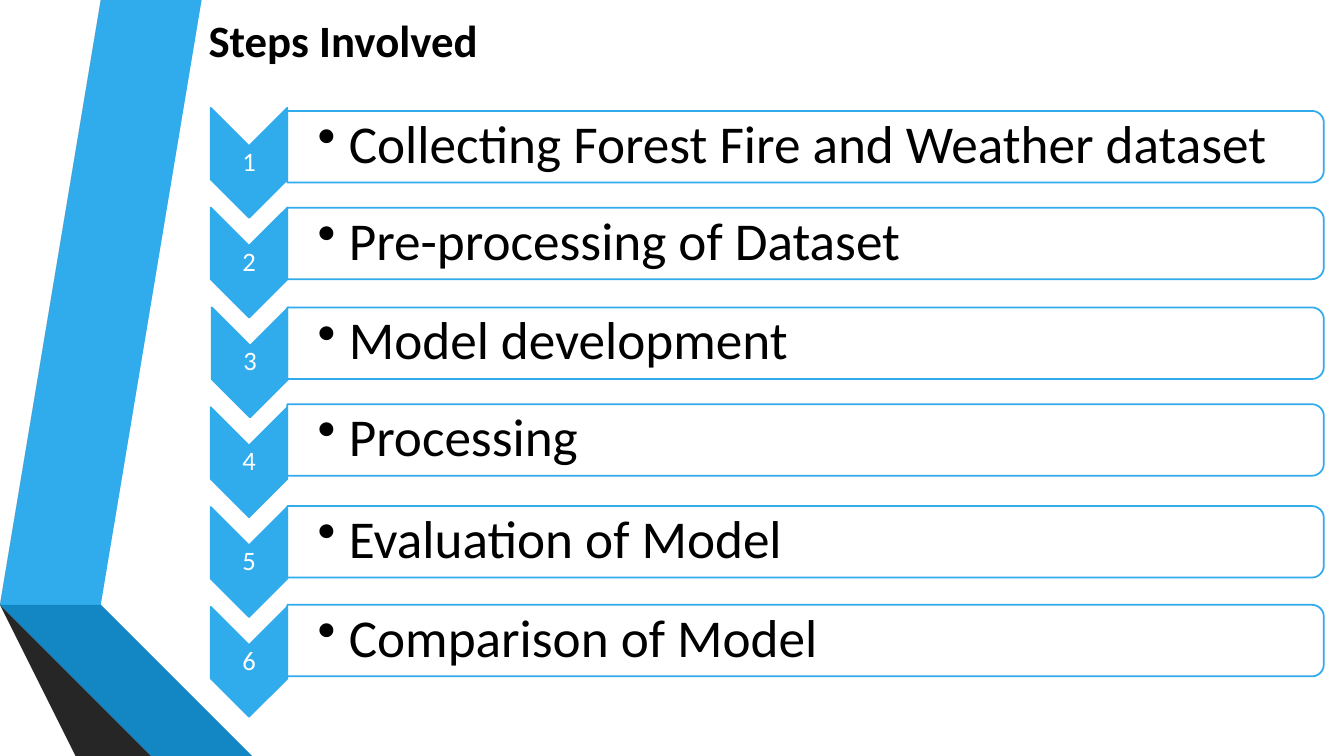
import pptx
import pptx.util
import pptx.oxml
import pptx.oxml.ns
from pptx.dml.color import RGBColor
from pptx.enum.shapes import MSO_SHAPE
from pptx.enum.text import MSO_ANCHOR, PP_ALIGN
from pptx.util import Inches

BLACK = RGBColor(0x00, 0x00, 0x00)
WHITE = RGBColor(0xFF, 0xFF, 0xFF)
BLUE = RGBColor(0x30, 0xAC, 0xEC)
MID_BLUE = RGBColor(0x12, 0x87, 0xC3)
DEEP_BLUE = RGBColor(0x0C, 0x5A, 0x82)
GRAY = RGBColor(0x59, 0x59, 0x59)
DARK_GRAY = RGBColor(0x40, 0x40, 0x40)
DEEP_GRAY = RGBColor(0x26, 0x26, 0x26)

prs = pptx.Presentation()
prs.slide_width, prs.slide_height = Inches(13.33), Inches(7.5)
s = prs.slides.add_slide(prs.slide_layouts[6])


def add_text(text, left, top, width, height, size, color, inset=None):
    """Add a one-paragraph text box and return its paragraph."""
    tf = s.shapes.add_textbox(Inches(left), Inches(top), Inches(width), Inches(height)).text_frame
    tf.word_wrap = True
    if inset is not None:
        tf.vertical_anchor = MSO_ANCHOR.MIDDLE
        tf.margin_left = tf.margin_right = Inches(inset)
        tf.margin_top = tf.margin_bottom = Inches(inset)
    p = tf.paragraphs[0]
    p.text = text
    p.font.name = "Calibri"
    p.font.size = pptx.util.Pt(size)
    p.font.color.rgb = color
    return p


def add_turned(kind, left, top, width, height, fill):
    """Add a blue-outlined shape turned by 90 degrees; the box is as seen on the slide."""
    x, y = left + (width - height) / 2, top + (height - width) / 2
    sp = s.shapes.add_shape(kind, Inches(x), Inches(y), Inches(height), Inches(width))
    sp.rotation = 90
    sp.shadow.inherit = False
    sp.fill.solid()
    sp.fill.fore_color.rgb = fill
    sp.line.color.rgb = BLUE
    sp.line.width = pptx.util.Pt(1.25)
    return sp


# Folded ribbons on the left
ribbons = [
    (BLUE, [(0.5, 5.78), (0.77, 5.83), (1.73, 0), (1.45, 0)]),
    (GRAY, [(1.39, 0), (1.11, 0), (0.16, 5.73), (0.44, 5.77)]),
    (DEEP_GRAY, [(0.16, 5.73), (1.45, 7.5), (1.51, 7.5)]),
    (DEEP_BLUE, [(0.5, 5.79), (2.08, 7.5), (2.14, 7.5)]),
    (MID_BLUE, [(0.5, 5.79), (2.14, 7.5), (2.83, 7.5), (0.77, 5.83), (0.5, 5.78)]),
    (DARK_GRAY, [(2.02, 7.5), (0.48, 5.83), (0.43, 5.77), (0.16, 5.73), (1.51, 7.5)]),
]
for color, points in ribbons:
    builder = s.shapes.build_freeform(*points[0], scale=Inches(1))
    builder.add_line_segments(points[1:], close=True)
    sp = builder.convert_to_shape()
    sp.shadow.inherit = False
    sp.fill.solid()
    sp.fill.fore_color.rgb = color
    sp.line.fill.background()

# Title
p = add_text("Steps Involved", 1.97, 0.08, 11.2, 0.64, 32, BLACK)
p.font.bold = True

# Steps: label, top of its bar, left of its chevron
steps = [
    ("Collecting Forest Fire and Weather dataset", 1.1, 2.09),
    ("Pre-processing of Dataset", 2.06, 2.09),
    ("Model development", 3.05, 2.1),
    ("Processing", 4.01, 2.09),
    ("Evaluation of Model", 5.02, 2.09),
    ("Comparison of Model", 6.0, 2.09),
]
CHEVRON_TOP, CHEVRON_STEP = 1.07, 0.99

for i, (label, bar_top, left) in enumerate(steps):
    # Numbered chevron
    top = CHEVRON_TOP + i * CHEVRON_STEP
    add_turned(MSO_SHAPE.CHEVRON, left, top, 0.76, 1.09, BLUE)
    p = add_text(str(i + 1), left, top + 0.38, 0.76, 0.33, 19, WHITE, inset=0.01)
    p.alignment = PP_ALIGN.CENTER
    p.line_spacing = 0.9

    # Bar, slightly see-through
    bar = add_turned(MSO_SHAPE.ROUND_2_SAME_RECTANGLE, 2.85, bar_top, 10.28, 0.71, WHITE)
    fill_color = bar.fill._xPr.find(".//" + pptx.oxml.ns.qn("a:srgbClr"))
    fill_color.append(pptx.oxml.parse_xml(
        '<a:alpha %s val="90000"/>' % pptx.oxml.ns.nsdecls("a")))

    # Bulleted label
    p = add_text(label, 2.85, bar_top + 0.03, 10.24, 0.64, 38, BLACK, inset=0.03)
    p.line_spacing = 0.9
    pPr = p._p.get_or_add_pPr()
    pPr.set("marL", str(Inches(0.58)))
    pPr.set("indent", str(Inches(-0.31)))
    bullet = pptx.oxml.parse_xml('<a:buChar %s char="•"/>' % pptx.oxml.ns.nsdecls("a"))
    pPr.insert_element_before(bullet, "a:tabLst", "a:defRPr", "a:extLst")

prs.save("out.pptx")
